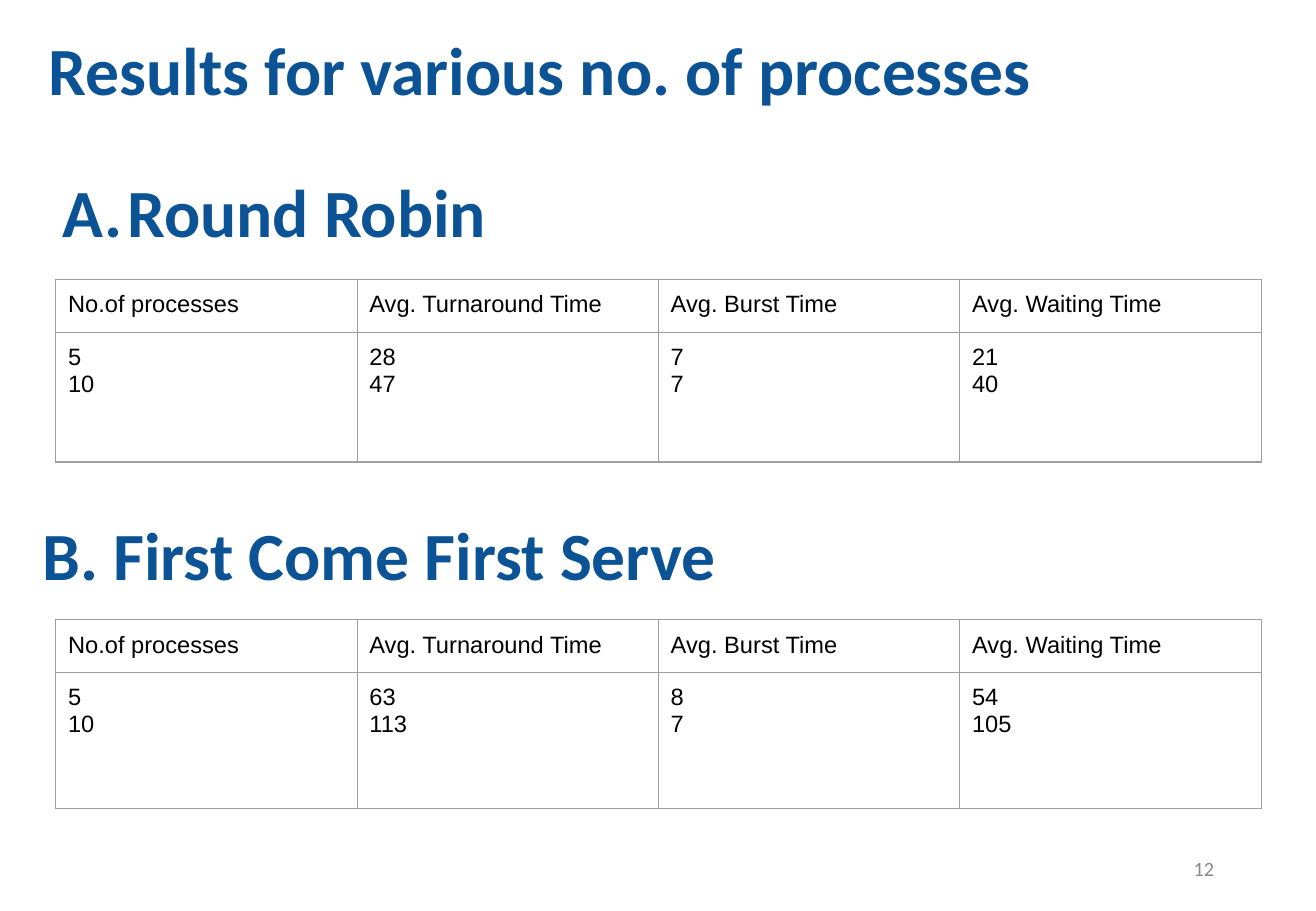
from lxml import etree
from pptx import Presentation
from pptx.dml.color import RGBColor
from pptx.enum.text import MSO_ANCHOR, PP_ALIGN
from pptx.oxml.ns import qn
from pptx.util import Pt

EMU_PER_PX = 9144
LEFT, CENTER, RIGHT = PP_ALIGN.LEFT, PP_ALIGN.CENTER, PP_ALIGN.RIGHT
TOP, MIDDLE = MSO_ANCHOR.TOP, MSO_ANCHOR.MIDDLE
BLUE, GRAY, BLACK, BORDER = "0B5394", "888888", "000000", "9E9E9E"
HEADERS = ["No.of processes", "Avg. Turnaround Time", "Avg. Burst Time", "Avg. Waiting Time"]
ROUND_ROBIN = ["5\n10", "28\n47", "7\n7", "21\n40"]
FIRST_COME = ["5\n10", "63\n113", "8\n7", "54\n105"]


def px(length):
    return length * EMU_PER_PX


def color(value):
    return RGBColor.from_string(value)


def style(paragraph, name, size, value, bold=False):
    font = paragraph.font
    font.name, font.size, font.bold = name, Pt(size), bold
    font.color.rgb = color(value)


def add_text(slide, box, text, size, value, alignment, anchor=TOP, bold=False, inset=10):
    shape = slide.shapes.add_textbox(*map(px, box))
    frame = shape.text_frame
    frame.word_wrap = True
    frame.vertical_anchor = anchor
    frame.margin_left = frame.margin_right = px(10)
    frame.margin_top = frame.margin_bottom = px(inset)
    paragraph = frame.paragraphs[0]
    paragraph.text = text
    paragraph.alignment = alignment
    style(paragraph, "Calibri", size, value, bold)
    return paragraph


def add_heading(slide, box, text, alignment=CENTER, margin=0, indent=0, numbered=False):
    paragraph = add_text(slide, box, text, 40, BLUE, alignment, bold=True)
    properties = paragraph._p.get_or_add_pPr()
    properties.set("marL", str(px(margin)))
    properties.set("indent", str(px(indent)))
    if numbered:
        bullet_color = etree.Element(qn("a:buClr"))
        etree.SubElement(bullet_color, qn("a:srgbClr"), val=BLUE)
        bullet_font = etree.Element(qn("a:buFont"), typeface="Calibri")
        bullet = etree.Element(qn("a:buAutoNum"), type="alphaUcPeriod")
        for position, element in enumerate([bullet_color, bullet_font, bullet]):
            properties.insert(position, element)


def add_borders(cell):
    properties = cell._tc.get_or_add_tcPr()
    for side in ("lnL", "lnR", "lnT", "lnB"):
        line = etree.SubElement(properties, qn(f"a:{side}"), w=str(Pt(0.75)))
        fill = etree.SubElement(line, qn("a:solidFill"))
        etree.SubElement(fill, qn("a:srgbClr"), val=BORDER)


def add_results(slide, box, values, header_height=41):
    left, top, width, height = box
    rows = [HEADERS, values]
    table = slide.shapes.add_table(len(rows), len(HEADERS), *map(px, box)).table
    table.first_row = table.horz_banding = False
    for column in table.columns:
        column.width = px(width // len(HEADERS))
    table.rows[0].height = px(header_height)
    table.rows[1].height = px(height - header_height)
    for row, texts in zip(table.rows, rows):
        for cell, text in zip(row.cells, texts):
            add_borders(cell)
            cell.fill.background()
            cell.margin_left = cell.margin_right = px(10)
            cell.margin_top = cell.margin_bottom = px(10)
            cell.text = text
            for paragraph in cell.text_frame.paragraphs:
                style(paragraph, "Arial", 14, BLACK)


def build_results_slide(presentation):
    slide = presentation.slides.add_slide(presentation.slide_layouts[6])
    add_text(slide, (765, 695, 244, 40), "12", 12, GRAY, RIGHT, MIDDLE, inset=5)
    add_heading(slide, (-42, 13, 973, 116), "Results for various no. of processes")
    add_results(slide, (46, 230, 992, 148), ROUND_ROBIN)
    add_heading(slide, (-259, 130, 973, 116), "Round Robin", margin=50, indent=-53, numbered=True)
    add_heading(slide, (-25, 412, 973, 116), "B. First Come First Serve", LEFT, margin=50)
    add_results(slide, (46, 510, 992, 153), FIRST_COME)


def main():
    presentation = Presentation()
    presentation.slide_width, presentation.slide_height = px(1083), px(750)
    build_results_slide(presentation)
    presentation.save("out.pptx")


if __name__ == "__main__":
    main()
